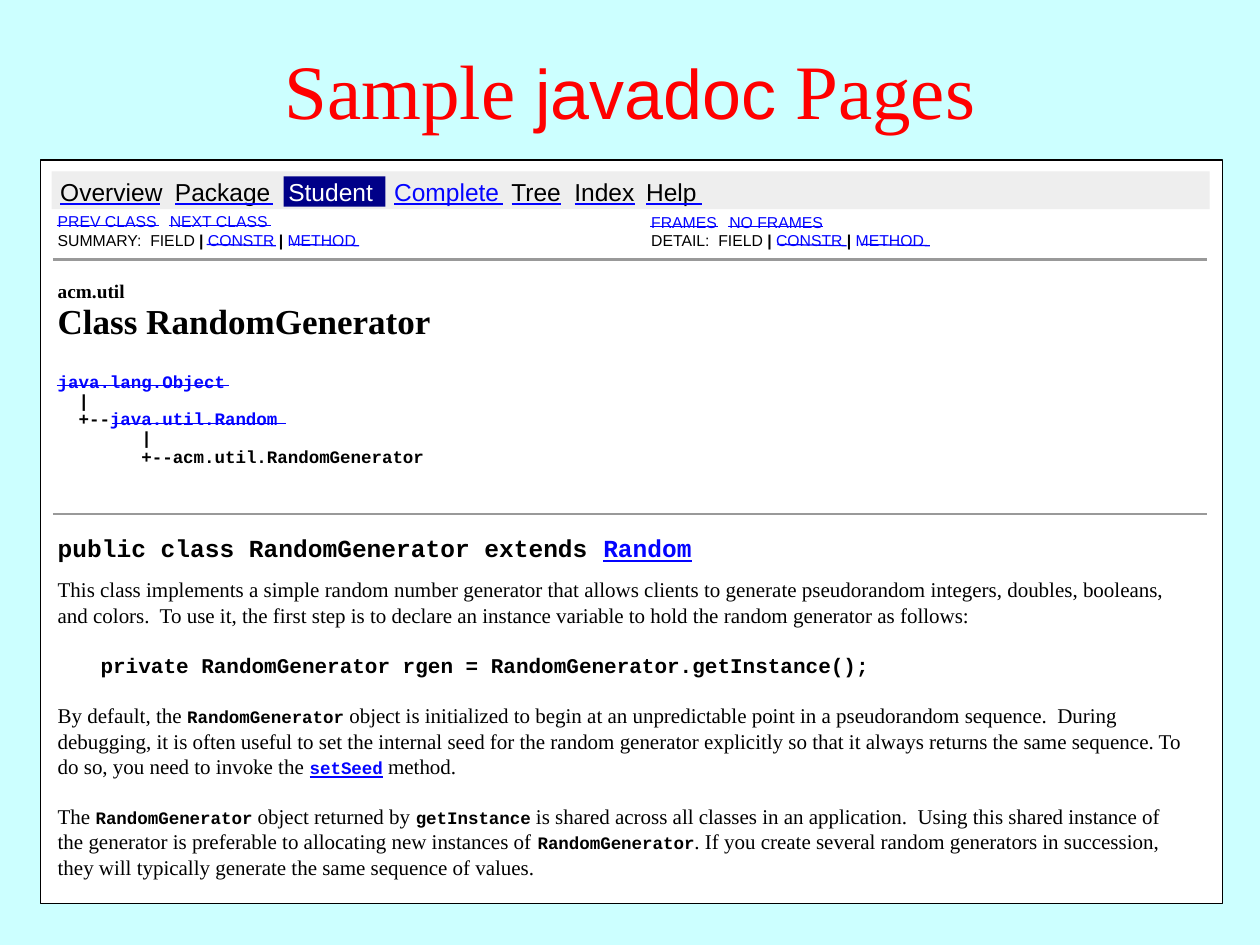
from lxml import etree
from pptx import Presentation
from pptx import util as u
from pptx.dml.color import RGBColor
from pptx.enum import shapes, text
from pptx.oxml.ns import qn

SKY = RGBColor(0xCC, 0xFF, 0xFF)
RED = RGBColor(0xFF, 0x00, 0x00)
WHITE = RGBColor(0xFF, 0xFF, 0xFF)
BLACK = RGBColor(0x00, 0x00, 0x00)
LINK = RGBColor(0x04, 0x04, 0xFF)
NAVY = RGBColor(0x00, 0x00, 0x88)
PALE = RGBColor(0xEE, 0xEE, 0xEE)
GREY = RGBColor(0x99, 0x99, 0x99)

SANS, SERIF, MONO = "Arial", "Times New Roman", "Courier New"
LEFT, RIGHT = 0.36, 5.07
PAD = 0.1


def add_run(p, content, font=SERIF, size=12, color=BLACK, bold=False, underline=False):
    r = p.add_run()
    r.text = content
    f = r.font
    f.name, f.size, f.bold, f.underline = font, u.Pt(size), bold, underline
    f.color.rgb = color


class Page:
    def __init__(self, prs, **style):
        self.s = prs.slides.add_slide(prs.slide_layouts[5])
        self.style = style
        fill = self.s.background.fill
        fill.solid()
        fill.fore_color.rgb = SKY

    def title(self, x, y, w, h, runs):
        sp = self.s.shapes.title
        sp.left, sp.top, sp.width, sp.height = map(u.Inches, (x, y, w, h))
        tf = sp.text_frame
        tf.auto_size = text.MSO_AUTO_SIZE.NONE
        tf.vertical_anchor = text.MSO_ANCHOR.MIDDLE
        p = tf.paragraphs[0]
        p.alignment = text.PP_ALIGN.CENTER
        for content, fmt in runs:
            add_run(p, content, color=RED, **fmt)

    def box(self, x, y, w, h, fill, line=None):
        sp = self.s.shapes.add_shape(
            shapes.MSO_SHAPE.RECTANGLE, *map(u.Inches, (x, y, w, h)))
        sp.shadow.inherit = False
        sp.fill.solid()
        sp.fill.fore_color.rgb = fill
        if line is None:
            sp.line.fill.background()
        else:
            sp.line.color.rgb = line
            sp.line.width = u.Pt(0.75)

    def line(self, x1, y1, x2, y2, color=LINK, width=0.75):
        c = self.s.shapes.add_connector(
            shapes.MSO_CONNECTOR.STRAIGHT, *map(u.Inches, (x1, y1, x2, y2)))
        c.line.color.rgb = color
        c.line.width = u.Pt(width)
        etree.SubElement(c._element.spPr, qn("a:effectLst"))

    def text(self, x, y, w, h, paragraphs, spacing=1.2, gap=0, indents=None, **fmt):
        """Each paragraph is a list of (text, format) runs; indents maps index to inches."""
        base = {**self.style, **fmt}
        tf = self.s.shapes.add_textbox(*map(u.Inches, (x, y, w, h))).text_frame
        tf.word_wrap = True
        tf.auto_size = text.MSO_AUTO_SIZE.SHAPE_TO_FIT_TEXT
        for i, runs in enumerate(paragraphs):
            p = tf.add_paragraph() if i else tf.paragraphs[0]
            p.line_spacing = u.Pt(base["size"] * spacing)
            p.space_before = u.Pt(gap if i else 0)
            if indents and i in indents:
                p._p.get_or_add_pPr().set("marL", str(u.Inches(indents[i])))
            for content, run_fmt in runs:
                add_run(p, content, **{**base, **run_fmt})

    def label(self, x, y, w, h, content, **fmt):
        self.text(x, y, w, h, [[(content, {})]], **fmt)


def navigation(page):
    page.box(0.41, 1.36, 9.19, 0.3, PALE)
    page.box(2.25, 1.4, 0.81, 0.24, NAVY)
    page.label(2.19, 1.36, 1.58, 0.34, "Student", font=SANS, size=14, color=WHITE)
    for name, x, end, color in [
        ("Overview", 0.38, 1.27, BLACK),
        ("Package", 1.29, 2.17, BLACK),
        ("Complete", 3.03, 3.99, LINK),
        ("Tree", 3.96, 4.45, BLACK),
        ("Index", 4.46, 5.04, BLACK),
        ("Help", 5.03, 5.57, BLACK),
    ]:
        page.label(x, 1.36, 1.04, 0.34, name, font=SANS, size=14, color=color)
        page.line(x + PAD, 1.62, end, 1.62)

    for name, x, y, end in [
        ("PREV CLASS", LEFT, 1.63, 1.26),
        ("NEXT CLASS", 1.25, 1.63, 2.15),
        ("FRAMES", RIGHT, 1.64, 5.7),
        ("NO FRAMES", 5.69, 1.64, 6.53),
    ]:
        page.label(x, y, 1.1, 0.25, name, font=SANS, size=9, color=LINK)
        page.line(x + PAD - 0.01, y + 0.16, end, y + 0.16)

    link, bar = {"color": LINK}, (" | ", {"bold": True})
    for name, x, constr in [("SUMMARY:  FIELD", LEFT, 1.64), ("DETAIL:  FIELD", RIGHT, 6.17)]:
        runs = [(name, {}), bar, ("CONSTR", link), bar, ("METHOD", link)]
        page.text(x, 1.78, 3.76, 0.25, [runs], font=SANS, size=9)
        for start in (constr, constr + 0.66):
            page.line(start, 1.94, start + 0.55, 1.95)


def class_header(page):
    for y in (2.06, 4.08):
        page.line(0.42, y, 9.58, y, GREY, 1.5)
    page.label(LEFT, 2.17, 0.83, 0.29, "acm.util", size=11, bold=True)
    page.label(LEFT, 2.33, 3.36, 0.44, "Class RandomGenerator", size=20, bold=True)

    link = {"color": LINK}
    page.text(LEFT, 2.91, 3.93, 1, [
        [("java.lang.Object", link)],
        [("  |", {})],
        [("  +--", {}), ("java.util.Random", link)],
        [("        |", {})],
        [("        +--acm.util.RandomGenerator", {})],
    ], spacing=1.08, font=MONO, size=10, bold=True)
    page.line(0.45, 3.06, 1.82, 3.06)
    page.line(0.89, 3.36, 2.27, 3.36)


def description(page):
    page.text(LEFT, 4.18, 7.11, 0.34, [[
        ("public class RandomGenerator extends ", {}),
        ("Random", {"color": LINK, "underline": True}),
    ]], font=MONO, size=14, bold=True)

    code = {"font": MONO, "bold": True}
    name = {**code, "size": 10}
    page.text(LEFT, 4.53, 9.14, 2.5, [
        [("This class implements a simple random number generator that allows clients to "
          "generate pseudorandom integers, doubles, booleans, and colors.  To use it, the first "
          "step is to declare an instance variable to hold the random generator as follows:", {})],
        [("private RandomGenerator rgen = RandomGenerator.getInstance();", code)],
        [("By default, the ", {}),
         ("RandomGenerator", name),
         (" object is initialized to begin at an unpredictable point in a pseudorandom "
          "sequence.  During debugging, it is often useful to set the internal seed for the "
          "random generator explicitly so that it always returns the same sequence. To do so, "
          "you need to invoke the ", {}),
         ("setSeed", {**name, "color": LINK, "underline": True}),
         (" method.", {})],
        [("The ", {}),
         ("RandomGenerator", name),
         (" object returned by ", {}),
         ("getInstance", name),
         (" is shared across all classes in an application.  Using this shared instance of the "
          "generator is preferable to allocating new instances of ", {}),
         ("RandomGenerator", name),
         (". If you create several random generators in succession, they will typically "
          "generate the same sequence of values.", {})],
    ], gap=14.4, indents={1: 0.34})


def main():
    prs = Presentation()
    prs.slide_width, prs.slide_height = u.Inches(10), u.Inches(7.5)
    page = Page(prs, font=SERIF, size=12, color=BLACK)
    page.title(0, 0.08, 10, 1.25, [
        ("Sample ", {"size": 44}),
        ("javadoc", {"font": SANS, "size": 40}),
        (" Pages", {"size": 44}),
    ])
    page.box(0.32, 1.27, 9.38, 5.9, WHITE, BLACK)
    navigation(page)
    class_header(page)
    description(page)
    prs.save("out.pptx")


if __name__ == "__main__":
    main()
